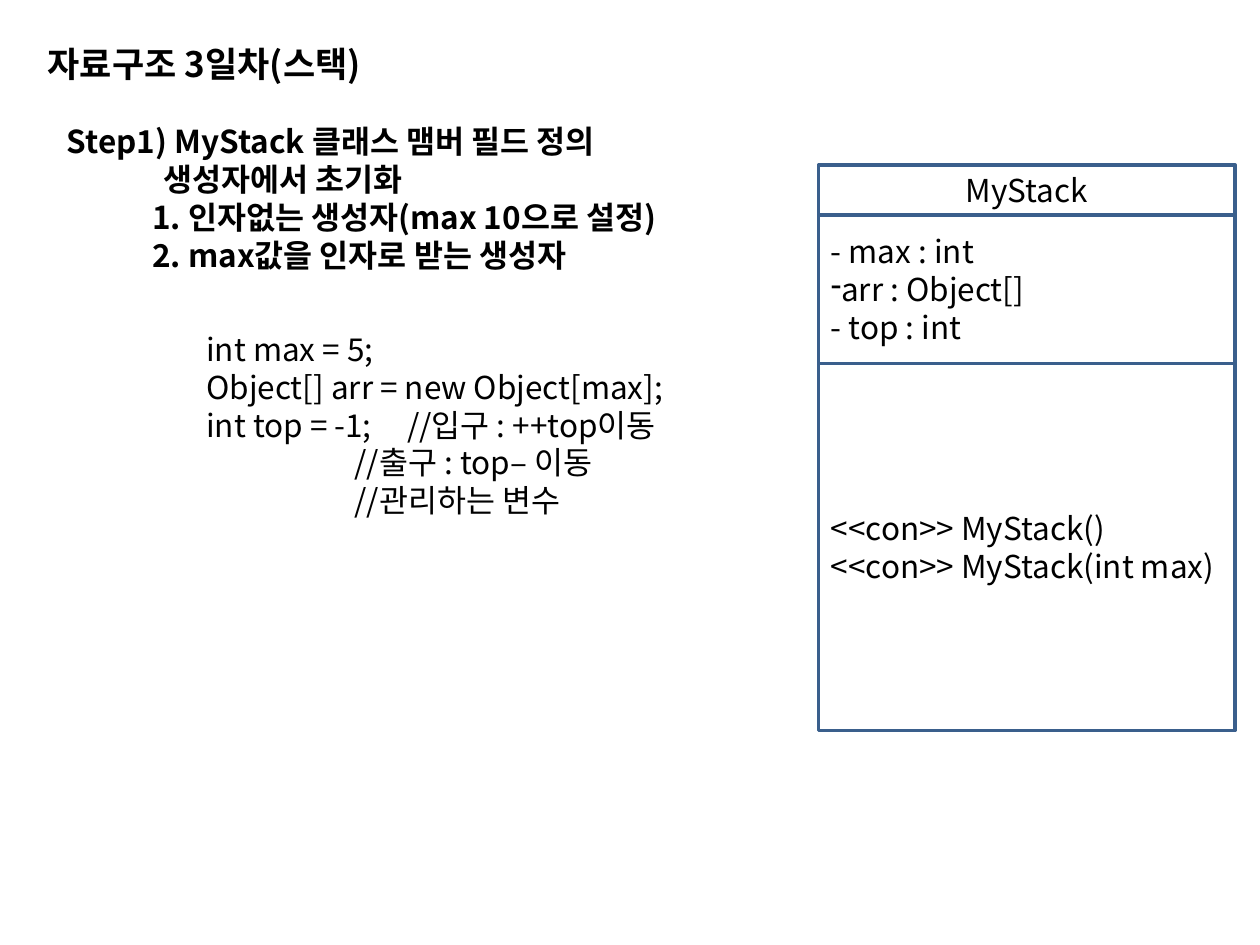
from dataclasses import dataclass

from lxml import etree
from pptx import Presentation
from pptx import util as u
from pptx.dml.color import RGBColor
from pptx.enum import shapes, text
from pptx.oxml.ns import qn


@dataclass(frozen=True)
class Theme:
    font: str = "Noto Sans CJK KR"
    ink: RGBColor = RGBColor(0x00, 0x00, 0x00)
    border: RGBColor = RGBColor(0x3A, 0x5F, 0x8C)
    border_width: u.Pt = u.Pt(2)
    title_size: u.Pt = u.Pt(20)
    body_size: u.Pt = u.Pt(18)


THEME = Theme()

# Each step line is paired with its indent in centimetres.
STEPS = [
    ("Step1) MyStack 클래스 맴버 필드 정의", 0),
    ("생성자에서 초기화", 1.95),
    ("1. 인자없는 생성자(max 10으로 설정)", 1.72),
    ("2. max값을 인자로 받는 생성자", 1.72),
]
CODE = [
    "int max = 5;",
    "Object[] arr = new Object[max];",
    "int top = -1;     //입구 : ++top이동",
    "                     //출구 : top– 이동",
    "                     //관리하는 변수",
]
FIELDS = ["- max : int", "arr : Object[]", "- top : int"]
CONSTRUCTORS = ["<<con>> MyStack()", "<<con>> MyStack(int max)"]


def write_lines(frame, lines, size=THEME.body_size, bold=False,
                align=text.PP_ALIGN.LEFT, indents=None, dashed=()):
    """Fill a frame, one paragraph a line; dashed holds indexes with a dash bullet."""
    frame.word_wrap = True
    for index, line in enumerate(lines):
        para = frame.paragraphs[0] if index == 0 else frame.add_paragraph()
        para.text = line
        para.alignment = align
        properties = para._p.get_or_add_pPr()
        if indents:
            properties.set("marL", str(u.Cm(indents[index])))
        if index in dashed:
            etree.SubElement(properties, qn("a:buChar")).set("char", "-")
        font = para.font
        font.name, font.size, font.bold = THEME.font, size, bold
        font.color.rgb = THEME.ink
        east_asian = etree.Element(qn("a:ea"), typeface=THEME.font)
        properties.find(".//" + qn("a:latin")).addnext(east_asian)


def add_text(page, left, top, width, height, lines, **style):
    box = page.shapes.add_textbox(u.Cm(left), u.Cm(top), u.Cm(width), u.Cm(height))
    write_lines(box.text_frame, lines, **style)


def add_class_diagram(page, left, top, width, compartments):
    """Stack the compartments, each given as height, lines and text style."""
    for height, lines, style in compartments:
        box = page.shapes.add_shape(shapes.MSO_SHAPE.RECTANGLE, u.Cm(left),
                                    u.Cm(top), u.Cm(width), u.Cm(height))
        box.shadow.inherit = False
        box.fill.background()
        box.line.color.rgb = THEME.border
        box.line.width = THEME.border_width
        box.text_frame.vertical_anchor = text.MSO_ANCHOR.MIDDLE
        write_lines(box.text_frame, lines, **style)
        top += height


def main():
    deck = Presentation()
    deck.slide_width, deck.slide_height = u.Cm(25.4), u.Cm(19.05)
    page = deck.slides.add_slide(deck.slide_layouts[6])

    add_text(page, 0.71, 0.74, 16.6, 1.1, ["자료구조 3일차(스택)"],
             size=THEME.title_size, bold=True)
    step_lines, step_indents = zip(*STEPS)
    add_text(page, 1.1, 2.34, 14.2, 3.33, step_lines, bold=True,
             indents=step_indents)
    add_text(page, 3.91, 6.53, 10.8, 4.1, CODE)
    add_class_diagram(page, 16.5, 3.33, 8.4, [
        (1, ["MyStack"], {"align": text.PP_ALIGN.CENTER}),
        (3, FIELDS, {"dashed": {1}}),
        (7.4, CONSTRUCTORS, {}),
    ])
    deck.save("out.pptx")


if __name__ == "__main__":
    main()
